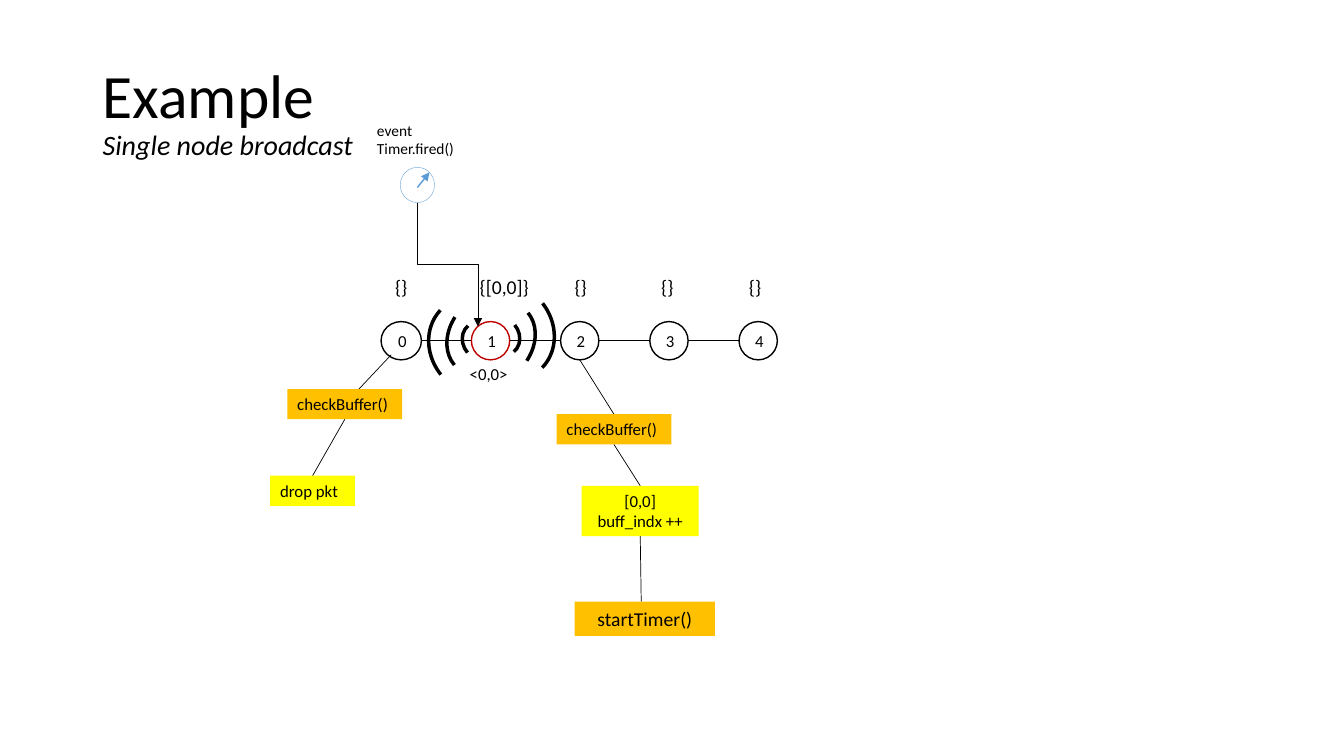
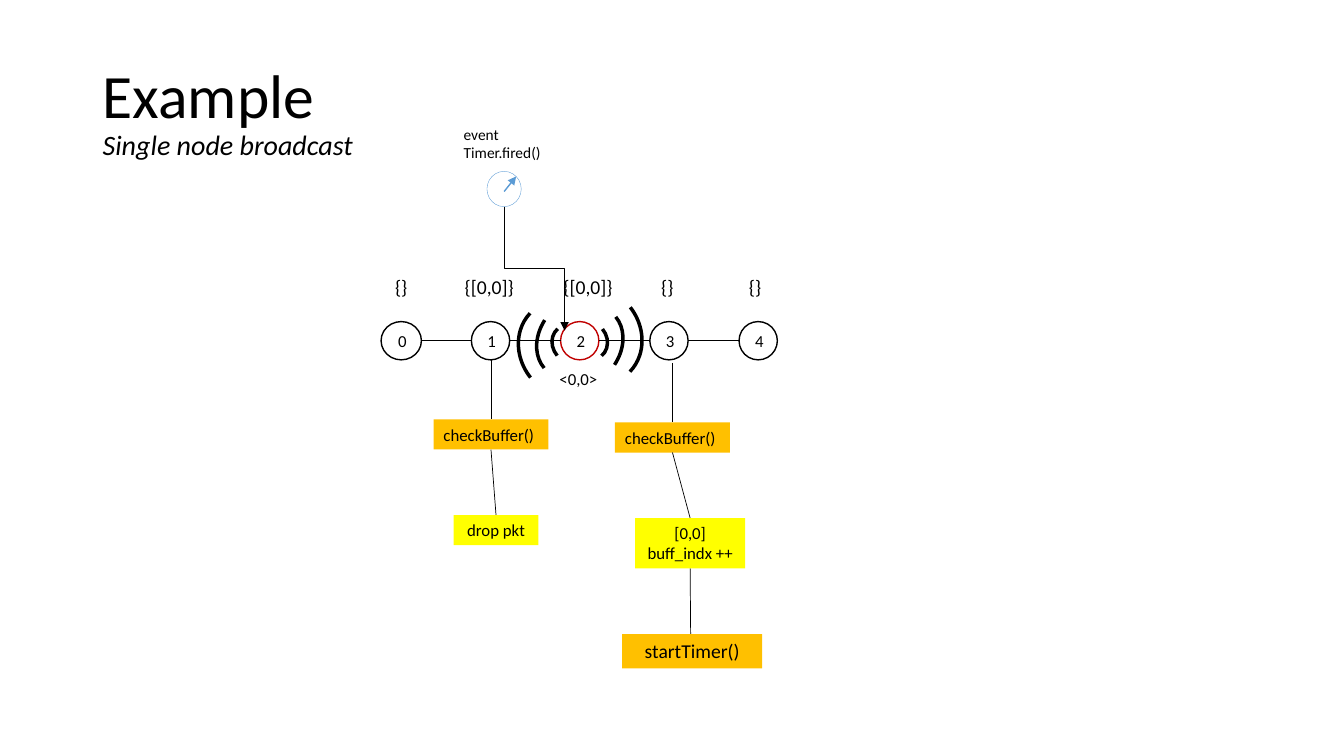
from dataclasses import dataclass, replace
from typing import Any, Optional

from lxml import etree
from pptx import Presentation
from pptx import util as u
from pptx.dml import color
from pptx.enum import shapes, text
from pptx.oxml import ns

FONT = "Calibri"
BLACK, WHITE, RED, BLUE = "000000", "FFFFFF", "C00000", "5B9BD5"
ORANGE, YELLOW = "FFC000", "FFFF00"
NODE_X = [3.98 + 3.54 * i / 4 for i in range(5)]
NODE_Y = 3.38
NODE_R = [0.2, 0.19, 0.19, 0.19, 0.19]


@dataclass(frozen=True)
class Arc:
    left: float
    top: float
    width: float
    height: float
    angles: tuple[float, float]


@dataclass(frozen=True)
class Action:
    lines: tuple[str, ...]
    fill: str
    width: float
    height: float
    size: int = 12
    centred: bool = False


@dataclass(frozen=True)
class Step:
    action: Action
    left: float
    top: float
    entry: Optional[float] = None


@dataclass(frozen=True)
class Chain:
    start: tuple[float, float]
    steps: tuple[Step, ...]


@dataclass(frozen=True)
class Caption:
    content: str
    left: float
    width: float = 0.4


@dataclass(frozen=True)
class Broadcast:
    sender: int
    buffers: tuple[Caption, ...]
    left_waves: tuple[float, float]
    right_waves: tuple[float, float]
    packet: tuple[float, float]
    timer: tuple[float, float]
    chains: tuple[Chain, ...]


OUTER, MIDDLE, INNER = (163.11, 212.75), (162, 199.34), (162, 0)
RIGHT_ARCS = (
    Arc(0.05, 0, 1.02, 0.91, OUTER),
    Arc(0, 0.09, 0.78, 1, MIDDLE),
    Arc(0.31, 0.33, 0.4, 0.35, INNER),
)
LEFT_ARCS = (
    Arc(0, 0.18, 1.02, 0.91, OUTER),
    Arc(0.28, 0, 0.78, 1, MIDDLE),
    Arc(0.35, 0.41, 0.4, 0.35, INNER),
)

CHECK = Action(("checkBuffer()",), ORANGE, 1.14, 0.3)
DROP = Action(("drop pkt",), YELLOW, 0.84, 0.3)
STORE = Action(("[0,0]", "buff_indx ++"), YELLOW, 1.16, 0.5, centred=True)
START = Action(("startTimer()",), ORANGE, 1.39, 0.34, 14, True)

EMPTY_0, EMPTY_3, EMPTY_4 = (Caption("{}", x) for x in (3.82, 6.46, 7.33))

BROADCASTS = (
    Broadcast(
        sender=1,
        buffers=(EMPTY_0, Caption("{[0,0]}", 4.66, 0.77), Caption("{}", 5.6), EMPTY_3, EMPTY_4),
        left_waves=(4.22, 2.8),
        right_waves=(4.46, 2.83),
        packet=(4.56, 3.56),
        timer=(3.64, 1.15),
        chains=(
            Chain((3.88, 3.52), (Step(CHECK, 2.85, 3.86, 3.56), Step(DROP, 2.68, 4.72))),
            Chain((5.75, 3.57), (
                Step(CHECK, 5.52, 4.11),
                Step(STORE, 5.77, 4.82),
                Step(START, 5.7, 5.97, 6.36),
            )),
        ),
    ),
    Broadcast(
        sender=2,
        buffers=(EMPTY_0, Caption("{[0,0]}", 4.51, 0.71), Caption("{[0,0]}", 5.49, 0.7),
                 EMPTY_3, EMPTY_4),
        left_waves=(5.11, 2.83),
        right_waves=(5.33, 2.87),
        packet=(5.45, 3.61),
        timer=(4.5, 1.19),
        chains=(
            Chain((4.87, 3.57), (
                Step(CHECK, 4.3, 4.16),
                Step(replace(DROP, centred=True), 4.5, 5.11),
            )),
            Chain((6.67, 3.6), (
                Step(CHECK, 6.1, 4.19),
                Step(replace(STORE, width=1.09), 6.3, 5.14),
                Step(START, 6.17, 6.29, 6.85),
            )),
        ),
    ),
)


def rgb(value: str) -> color.RGBColor:
    return color.RGBColor.from_string(value)


def inches(*values: float) -> list[u.Length]:
    return [u.Inches(v) for v in values]


def style_line(sp: Any, hue: str, width: float) -> None:
    sp.line.color.rgb = rgb(hue)
    sp.line.width = u.Pt(width)


def add_text(s: Any, lines: tuple[str, ...], left: float, top: float, width: float,
             height: float, size: int = 12, centred: bool = False) -> Any:
    sp = s.shapes.add_textbox(*inches(left, top, width, height))
    tf = sp.text_frame
    tf.word_wrap = True
    tf.auto_size = text.MSO_AUTO_SIZE.SHAPE_TO_FIT_TEXT
    tf.text = "\n".join(lines)
    for p in tf.paragraphs:
        p.font.name, p.font.size, p.font.color.rgb = FONT, u.Pt(size), rgb(BLACK)
        if centred:
            p.alignment = text.PP_ALIGN.CENTER
    return sp


def add_line(s: Any, x1: float, y1: float, x2: float, y2: float, width: float = 0.5,
             hue: str = BLACK, arrow: bool = False,
             kind: Any = shapes.MSO_CONNECTOR.STRAIGHT) -> Any:
    sp = s.shapes.add_connector(kind, *inches(x1, y1, x2, y2))
    style_line(sp, hue, width)
    if arrow:
        etree.SubElement(sp.line._get_or_add_ln(), ns.qn("a:tailEnd"), type="triangle")
    etree.SubElement(sp._element.spPr, ns.qn("a:effectLst"))
    return sp


def add_drop_arrow(s: Any, x1: float, y1: float, x2: float, y2: float) -> None:
    cx, cy = (x1 + x2) / 2, (y1 + y2) / 2
    dx, dy = (x2 - x1) / 2, (y2 - y1) / 2
    sp = add_line(s, cx + dy, cy - dx, cx - dy, cy + dx, arrow=True,
                  kind=shapes.MSO_CONNECTOR.ELBOW)
    sp._element.spPr.find(ns.qn("a:xfrm")).set("rot", str(270 * 60000))


def add_circle(s: Any, left: float, top: float, width: float, height: float,
               hue: str, weight: float) -> None:
    sp = s.shapes.add_shape(shapes.MSO_SHAPE.OVAL, *inches(left, top, width, height))
    sp.shadow.inherit = False
    sp.fill.solid()
    sp.fill.fore_color.rgb = rgb(WHITE)
    style_line(sp, hue, weight)


def add_waves(s: Any, arcs: tuple[Arc, ...], origin: tuple[float, float],
              rotation: float) -> None:
    x, y = origin
    for arc in arcs:
        sp = s.shapes.add_shape(shapes.MSO_SHAPE.ARC,
                                *inches(x + arc.left, y + arc.top, arc.width, arc.height))
        sp.shadow.inherit = False
        sp.fill.background()
        style_line(sp, BLACK, 2.5)
        sp.adjustments[0], sp.adjustments[1] = arc.angles
        sp.rotation = rotation


def add_title(s: Any) -> None:
    sp = s.shapes.add_textbox(*inches(0.92, 0.4, 3.27, 1.45))
    tf = sp.text_frame
    tf.word_wrap = True
    tf.vertical_anchor = text.MSO_ANCHOR.MIDDLE
    p = tf.paragraphs[0]
    p.line_spacing = 0.9
    p.font.name, p.font.color.rgb = FONT, rgb(BLACK)
    r = p.add_run()
    r.text, r.font.size = "Example", u.Pt(44)
    p.add_line_break()
    r = p.add_run()
    r.text, r.font.size, r.font.italic = "Single node broadcast", u.Pt(20), True


def add_network(s: Any, sender: int) -> None:
    for i, (x, radius) in enumerate(zip(NODE_X, NODE_R)):
        add_circle(s, x - radius, NODE_Y - 0.19, 2 * radius, 0.38,
                   RED if i == sender else BLACK, 1)
        add_text(s, (str(i),), x - 0.13, 3.23, 0.26, 0.3)
        if i:
            add_line(s, NODE_X[i - 1] + NODE_R[i - 1], NODE_Y, x - radius, NODE_Y, 1)


def add_timer(s: Any, left: float, top: float) -> None:
    add_text(s, ("event Timer.fired()",), left, top, 0.99, 0.47, 11)
    add_circle(s, left + 0.33, top + 0.51, 0.34, 0.35, BLUE, 0.25)
    add_line(s, left + 0.5, top + 0.71, left + 0.62, top + 0.56, 1, BLUE, True)
    add_drop_arrow(s, left + 0.5, top + 0.86, left + 1.1, top + 2.09)


def add_chain(s: Any, chain: Chain) -> None:
    x, y = chain.start
    for step in chain.steps:
        act = step.action
        centre = step.left + act.width / 2
        add_line(s, x, y, step.entry or centre, step.top)
        sp = add_text(s, act.lines, step.left, step.top, act.width, act.height,
                      act.size, act.centred)
        sp.fill.solid()
        sp.fill.fore_color.rgb = rgb(act.fill)
        x, y = centre, step.top + act.height


def build_slide(prs: Any, cast: Broadcast) -> None:
    s = prs.slides.add_slide(prs.slide_layouts[6])
    add_network(s, cast.sender)
    add_waves(s, RIGHT_ARCS, cast.right_waves, 50.8)
    add_waves(s, LEFT_ARCS, cast.left_waves, 230)
    for buffer in cast.buffers:
        add_text(s, (buffer.content,), buffer.left, 2.68, buffer.width, 0.34, 14)
    add_text(s, ("<0,0>",), *cast.packet, 0.61, 0.3)
    add_timer(s, *cast.timer)
    for chain in cast.chains:
        add_chain(s, chain)
    add_title(s)


prs = Presentation()
prs.slide_width, prs.slide_height = inches(13.33, 7.5)
for cast in BROADCASTS:
    build_slide(prs, cast)
prs.save("out.pptx")
